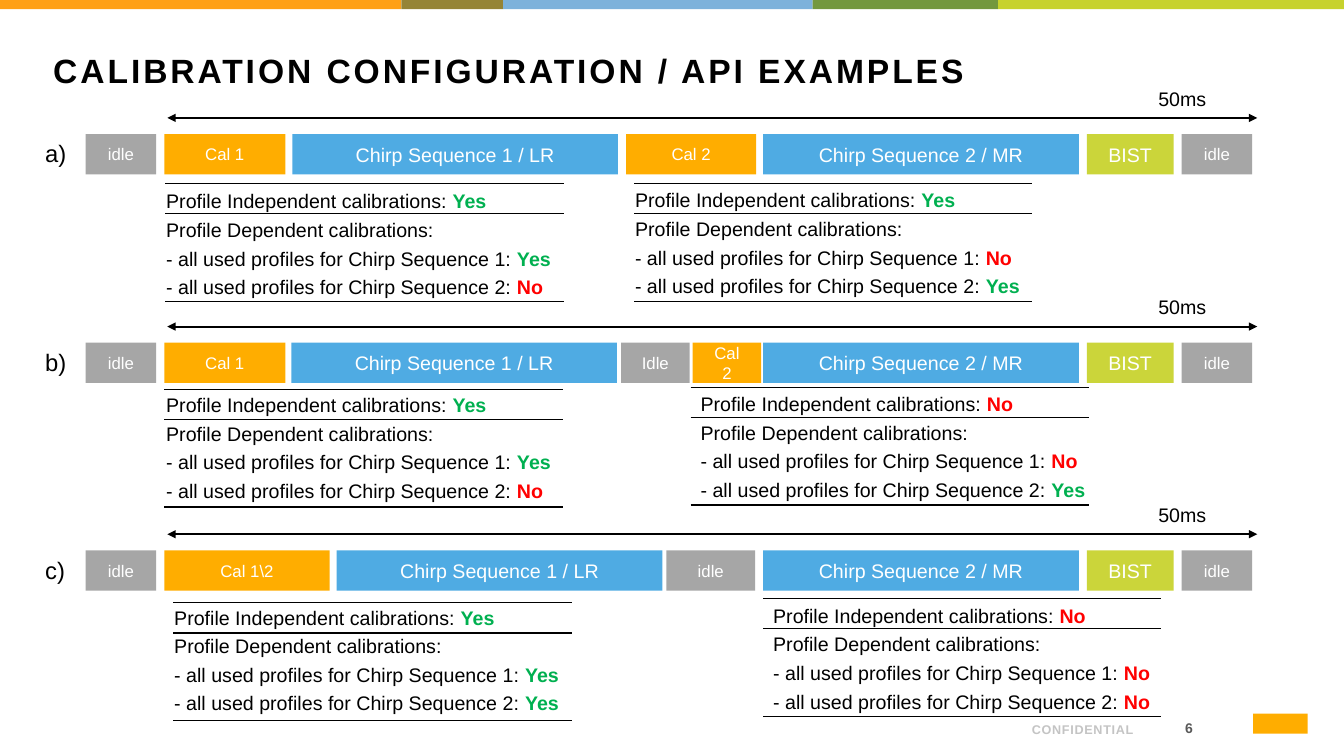
from dataclasses import dataclass

from lxml import etree
from pptx import Presentation
from pptx.dml.color import RGBColor
from pptx.enum.shapes import MSO_CONNECTOR, MSO_SHAPE
from pptx.enum.text import MSO_ANCHOR, PP_ALIGN
from pptx.oxml.ns import qn
from pptx.util import Inches, Pt

RECT = MSO_SHAPE.RECTANGLE
LINE = MSO_CONNECTOR.STRAIGHT
LEFT, MID, RIGHT = PP_ALIGN.LEFT, PP_ALIGN.CENTER, PP_ALIGN.RIGHT
TOP, CENTER, BASE = MSO_ANCHOR.TOP, MSO_ANCHOR.MIDDLE, MSO_ANCHOR.BOTTOM


@dataclass(frozen=True)
class Theme:
    font: str = "Arial"
    cell: float = 0.1
    black: str = "000000"
    white: str = "FFFFFF"
    gray: str = "A6A6A6"
    amber: str = "FFAD00"
    blue: str = "4FABE3"
    lime: str = "CBD53A"
    green: str = "00B050"
    red: str = "FF0000"
    dark: str = "595959"
    pale: str = "C4C4C4"
    bands: tuple = ("FFA015", "958436", "7DB2DB", "73983E", "C7D22D")
    title: float = 24
    label: float = 17
    body: float = 14
    small: float = 12
    page: float = 10
    foot: float = 9
    thick: float = 1.5
    thin: float = 0.75


class Board:
    def __init__(self, slide, theme):
        self.slide = slide
        self.theme = theme

    def grid(self, *cells):
        return [Inches(cell * self.theme.cell) for cell in cells]

    def style(self, run, size, color, bold=False, track=0):
        font = run.font
        font.name = self.theme.font
        font.size = Pt(size)
        font.bold = bold
        font.color.rgb = RGBColor.from_string(color)
        if track:
            run._r.get_or_add_rPr().set("spc", str(round(track * 100)))

    def rect(self, x, y, w, h, color):
        shape = self.slide.shapes.add_shape(RECT, *self.grid(x, y, w, h))
        shape.shadow.inherit = False
        shape.fill.solid()
        shape.fill.fore_color.rgb = RGBColor.from_string(color)
        shape.line.fill.background()
        return shape

    def block(self, x, y, w, h, text, color, size):
        frame = self.rect(x, y, w, h, color).text_frame
        frame.text = text
        frame.word_wrap = True
        frame.vertical_anchor = CENTER
        inset, = self.grid(2)
        frame.margin_left = frame.margin_right = inset
        frame.margin_top = frame.margin_bottom = inset
        para = frame.paragraphs[0]
        para.alignment = MID
        self.style(para.runs[0], size, self.theme.white)

    def box(self, x, y, w, h, wrap=True, anchor=TOP):
        frame = self.slide.shapes.add_textbox(*self.grid(x, y, w, h)).text_frame
        frame.word_wrap = wrap
        frame.vertical_anchor = anchor
        return frame

    def text(self, x, y, w, h, text, size, color, bold=False, track=0,
             align=LEFT, anchor=TOP, wrap=True):
        frame = self.box(x, y, w, h, wrap, anchor)
        frame.text = text
        para = frame.paragraphs[0]
        para.alignment = align
        self.style(para.runs[0], size, color, bold, track)

    def line(self, x, y, w, width, heads=False):
        wire = self.slide.shapes.add_connector(LINE, *self.grid(x, y, x + w, y))
        wire.line.color.rgb = RGBColor.from_string(self.theme.black)
        wire.line.width = Pt(width)
        if heads:
            for end in ("a:headEnd", "a:tailEnd"):
                etree.SubElement(wire.line._ln, qn(end), type="triangle")
        etree.SubElement(wire._element.spPr, qn("a:effectLst"))

    def note(self, x, y, left, top, marks):
        theme = self.theme
        frame = self.box(x, y, 40.4, 11.7)
        first, *rest = marks
        lines = [("Profile Independent calibrations: ", first),
                 ("Profile Dependent calibrations:", None)]
        lines += [(f"- all used profiles for Chirp Sequence {num}: ", mark)
                  for num, mark in enumerate(rest, 1)]
        for num, (label, mark) in enumerate(lines):
            para = frame.add_paragraph() if num else frame.paragraphs[0]
            para.text = label
            para.space_before = Pt(3.6)
            self.style(para.runs[0], theme.body, theme.black)
            if mark:
                run = para.add_run()
                run.text = mark
                color = theme.green if mark == "Yes" else theme.red
                self.style(run, theme.body, color, True)
        for drop in (0, 3, 11.7):
            self.line(left, top + drop, 39.5, theme.thin)

    def row(self, name, y, blocks, notes):
        theme = self.theme
        kinds = {"idle": (theme.gray, theme.small),
                 "cal": (theme.amber, theme.small),
                 "chirp": (theme.blue, theme.body),
                 "bist": (theme.lime, theme.body)}
        for x, w, kind, text in blocks + ENDS:
            self.block(x, y, w, 4, text, *kinds[kind])
        self.text(3.5, y, 10, 10, name, theme.label, theme.black, wrap=False)
        self.line(16.6, y - 1.6, 108.1, theme.thick, True)
        self.text(113.9, y - 5.2, 10, 5.7, "50ms", theme.body, theme.black,
                  wrap=False)
        for note in notes:
            self.note(*note)


BANDS = (0, 39.8, 49.9, 80.6, 99, 133.3)
ENDS = [(8.5, 7, "idle", "idle"),
        (75.7, 31.3, "chirp", "Chirp Sequence 2 / MR"),
        (107.8, 8.6, "bist", "BIST"),
        (117.2, 7, "idle", "idle")]
FIRST = "Chirp Sequence 1 / LR"
ROWS = [
    ("a)", 13.3,
     [(16.3, 12, "cal", "Cal 1"), (29, 32.3, "chirp", FIRST),
      (62.1, 12.9, "cal", "Cal 2")],
     [(15.5, 18.3, 16.4, 18.2, ("Yes", "Yes", "No")),
      (62, 18.2, 62.9, 18.2, ("Yes", "No", "Yes"))]),
    ("b)", 34,
     [(16.3, 12, "cal", "Cal 1"), (28.9, 32.3, "chirp", FIRST),
      (61.6, 6.8, "idle", "Idle"), (68.7, 6.8, "cal", "Cal 2")],
     [(15.5, 38.5, 16.3, 38.6, ("Yes", "Yes", "No")),
      (68.5, 38.4, 68.5, 38.4, ("No", "No", "Yes"))]),
    ("c)", 54.6,
     [(16.3, 16.4, "cal", "Cal 1\\2"), (33.4, 32.3, "chirp", FIRST),
      (66.1, 8.8, "idle", "idle")],
     [(16.3, 59.6, 17.2, 59.8, ("Yes", "Yes", "Yes")),
      (75.7, 59.4, 75.7, 59.4, ("No", "No", "No"))]),
]


def main():
    deck = Presentation()
    deck.slide_width, deck.slide_height = Inches(13.33), Inches(7.5)
    theme = Theme()
    board = Board(deck.slides.add_slide(deck.slide_layouts[6]), theme)
    for x, end, color in zip(BANDS, BANDS[1:], theme.bands):
        board.rect(x, 0, end - x, 0.9, color)
    board.text(4.3, 4.5, 125, 7.2, "CALIBRATION CONFIGURATION / API EXAMPLES",
               theme.title, theme.black, True, 2.1)
    board.text(85.1, 70.2, 28.3, 3.4, "CONFIDENTIAL", theme.foot, theme.pale,
               True, 0.5, RIGHT, BASE)
    board.text(112.8, 70.7, 6.5, 3, "6", theme.page, theme.dark, True, 3,
               RIGHT, CENTER)
    board.rect(124.3, 70.8, 5.4, 2, theme.amber)
    for row in ROWS:
        board.row(*row)
    deck.save("out.pptx")


if __name__ == "__main__":
    main()
